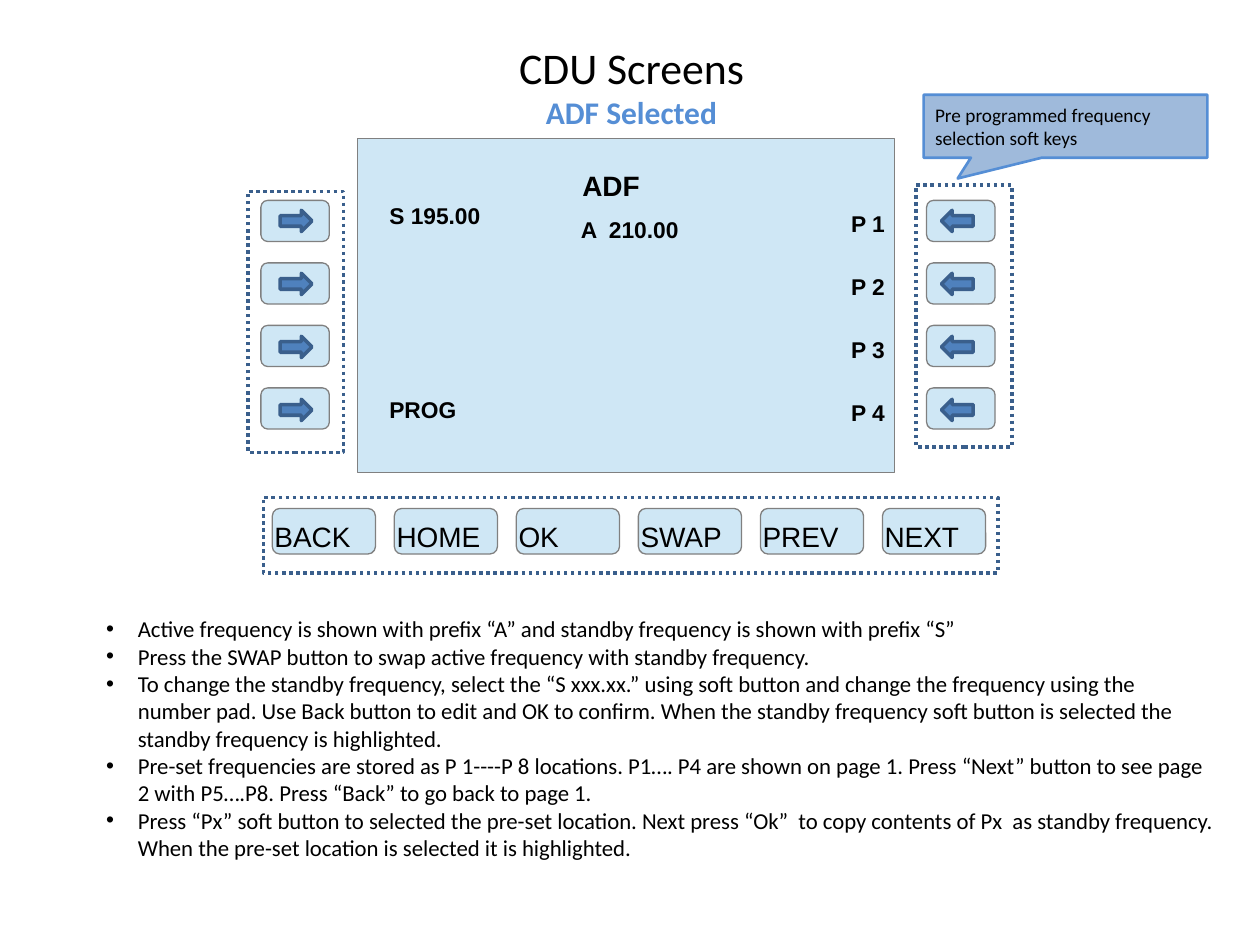
"""Build the CDU screen slide for the ADF selection page."""
from dataclasses import dataclass

from lxml import etree
from pptx import Presentation
from pptx import util as u
from pptx.dml import color
from pptx.enum import dml, shapes, text
from pptx.oxml import ns

SHAPE = shapes.MSO_SHAPE
BLACK, PALE, GREY = "000000", "CFE7F5", "808080"
BLUE, NAVY, SKY = "4F81BD", "3A5F8C", "558ED5"


@dataclass(frozen=True)
class Box:
    x: float
    y: float
    w: float
    h: float

    def cm(self) -> list:
        return [u.Cm(v) for v in (self.x, self.y, self.w, self.h)]


@dataclass(frozen=True)
class Label:
    text: str
    box: Box
    size: int = 13


@dataclass(frozen=True)
class KeyColumn:
    key_x: float
    arrow_x: float
    arrow: SHAPE
    frame: Box


KEY_COLUMNS = [
    KeyColumn(5.26, 5.65, SHAPE.RIGHT_ARROW, Box(5, 3.86, 1.93, 5.26)),
    KeyColumn(18.68, 18.98, SHAPE.LEFT_ARROW, Box(18.47, 3.73, 1.93, 5.28)),
]
BOTTOM_KEYS = ["BACK", "HOME", "OK", "SWAP", "PREV", "NEXT"]
BOTTOM_FRAME = Box(5.31, 10.03, 14.81, 1.52)
SCREEN_LABELS = [
    Label("ADF", Box(11.51, 3.28, 1.63, 0.89), 16),
    Label("A  210.00", Box(11.48, 4.24, 2.44, 0.76)),
    Label("S 195.00", Box(7.62, 3.96, 2.31, 0.76)),
    Label("PROG", Box(7.62, 7.87, 1.83, 0.76)),
    *(Label(f"P {i + 1}", Box(16.93, 4.11 + 1.27 * i, 1.14, 0.76)) for i in range(4)),
]
NOTES = [
    "Active frequency is shown with prefix “A” and standby frequency is shown with prefix “S”",
    "Press the SWAP button to swap active frequency with standby frequency.",
    "To change the standby frequency, select the “S xxx.xx.” using soft button and change the "
    "frequency using the\vnumber pad. Use Back button to edit and OK to confirm. When the "
    "standby frequency soft button is selected the standby frequency is highlighted.",
    "Pre-set frequencies are stored as P 1----P 8 locations. P1…. P4 are shown on page 1. Press "
    "“Next” button to see page 2 with P5….P8. Press “Back” to go back to page 1.",
    "Press “Px” soft button to selected the pre-set location. Next press “Ok”  to copy contents "
    "of Px  as standby frequency. When the pre-set location is selected it is highlighted.",
]


def rgb(value: str) -> color.RGBColor:
    return color.RGBColor.from_string(value)


def format_font(p, name: str, size: float, hue: str = BLACK, bold: bool = False) -> None:
    p.font.name, p.font.size, p.font.bold = name, u.Pt(size), bold
    p.font.color.rgb = rgb(hue)


def set_margins(tf, left: float, top: float, right: float, bottom: float) -> None:
    tf.margin_left, tf.margin_top = u.Cm(left), u.Cm(top)
    tf.margin_right, tf.margin_bottom = u.Cm(right), u.Cm(bottom)


def add_panel(s, kind: SHAPE, box: Box, fill: str | None, line: str, width: float):
    sp = s.shapes.add_shape(kind, *box.cm())
    sp.shadow.inherit = False
    if fill:
        sp.fill.solid()
        sp.fill.fore_color.rgb = rgb(fill)
    else:
        sp.fill.background()
    sp.line.color.rgb = rgb(line)
    sp.line.width = u.Pt(width)
    return sp


def add_frame(s, box: Box) -> None:
    sp = add_panel(s, SHAPE.RECTANGLE, box, None, NAVY, 2)
    sp.line.dash_style = dml.MSO_LINE.ROUND_DOT


def add_key(s, box: Box):
    return add_panel(s, SHAPE.ROUNDED_RECTANGLE, box, PALE, GREY, 0)


def add_key_column(s, column: KeyColumn) -> None:
    add_frame(s, column.frame)
    for i in range(4):
        add_key(s, Box(column.key_x, 4.04 + 1.26 * i, 1.38, 0.83))
        arrow = Box(column.arrow_x, 4.24 + 1.27 * i, 0.64, 0.43)
        add_panel(s, column.arrow, arrow, BLUE, NAVY, 2)


def add_bottom_keys(s) -> None:
    add_frame(s, BOTTOM_FRAME)
    for i, name in enumerate(BOTTOM_KEYS):
        tf = add_key(s, Box(5.49 + 2.46 * i, 10.25, 2.08, 0.92)).text_frame
        tf.text = name
        tf.word_wrap = False
        tf.vertical_anchor = text.MSO_ANCHOR.MIDDLE
        set_margins(tf, 0, 0.2, 0, 0)
        format_font(tf.paragraphs[0], "Arial", 16)


def add_label(s, label: Label) -> None:
    tf = s.shapes.add_textbox(*label.box.cm()).text_frame
    tf.text = label.text
    tf.word_wrap = False
    set_margins(tf, 0.23, 0.11, 0.23, 0.11)
    format_font(tf.paragraphs[0], "Arial", label.size, bold=True)


def add_notes(s, box: Box) -> None:
    tf = s.shapes.add_textbox(*box.cm()).text_frame
    tf.word_wrap = True
    set_margins(tf, 0.23, 0.13, 0.23, 0.13)
    for i, note in enumerate(NOTES):
        p = tf.add_paragraph() if i else tf.paragraphs[0]
        p.text = note
        format_font(p, "Calibri", 13)
        props = p._p.get_or_add_pPr()
        props.set("marL", str(u.Cm(0.64)))
        props.set("indent", str(-u.Cm(0.64)))
        bullet_font = etree.Element(ns.qn("a:buFont"), typeface="Arial")
        bullet = etree.Element(ns.qn("a:buChar"), char="•")
        props.insert(0, bullet_font)
        props.insert(1, bullet)


def add_callout(s, box: Box) -> None:
    sp = add_panel(s, SHAPE.RECTANGULAR_CALLOUT, box, BLUE, SKY, 1.5)
    sp.adjustments[0], sp.adjustments[1] = -0.38, 0.83
    hue = sp.fill._xPr.find(ns.qn("a:solidFill"))[0]
    etree.SubElement(hue, ns.qn("a:alpha"), val="54000")
    tf = sp.text_frame
    tf.text = "Pre programmed frequency selection soft keys"
    tf.word_wrap = True
    tf.vertical_anchor = text.MSO_ANCHOR.MIDDLE
    set_margins(tf, 0.23, 0.13, 0.23, 0.13)
    tf.paragraphs[0].alignment = text.PP_ALIGN.LEFT
    format_font(tf.paragraphs[0], "Calibri", 11)


def format_title(title, box: Box) -> None:
    title.left, title.top, title.width, title.height = box.cm()
    tf = title.text_frame
    tf.text = "CDU Screens\nADF Selected"
    tf.auto_size = text.MSO_AUTO_SIZE.NONE
    tf.vertical_anchor = text.MSO_ANCHOR.TOP
    tf.margin_top = u.Cm(0.18)
    for p in tf.paragraphs:
        p.alignment = text.PP_ALIGN.CENTER
    format_font(tf.paragraphs[0], "Calibri", 25)
    format_font(tf.paragraphs[1], "Calibri", 18, SKY, bold=True)


def main() -> None:
    prs = Presentation()
    prs.slide_width, prs.slide_height = u.Cm(25.4), u.Cm(19.05)
    s = prs.slides.add_slide(prs.slide_layouts[5])
    format_title(s.shapes.title, Box(1.3, 0.64, 22.86, 3.18))
    add_panel(s, SHAPE.RECTANGLE, Box(7.21, 2.79, 10.82, 6.73), PALE, GREY, 0)
    for column in KEY_COLUMNS:
        add_key_column(s, column)
    add_bottom_keys(s)
    for label in SCREEN_LABELS:
        add_label(s, label)
    add_notes(s, Box(1.91, 12.27, 22.81, 5.23))
    add_callout(s, Box(18.62, 1.91, 5.72, 1.27))
    prs.save("out.pptx")


if __name__ == "__main__":
    main()
